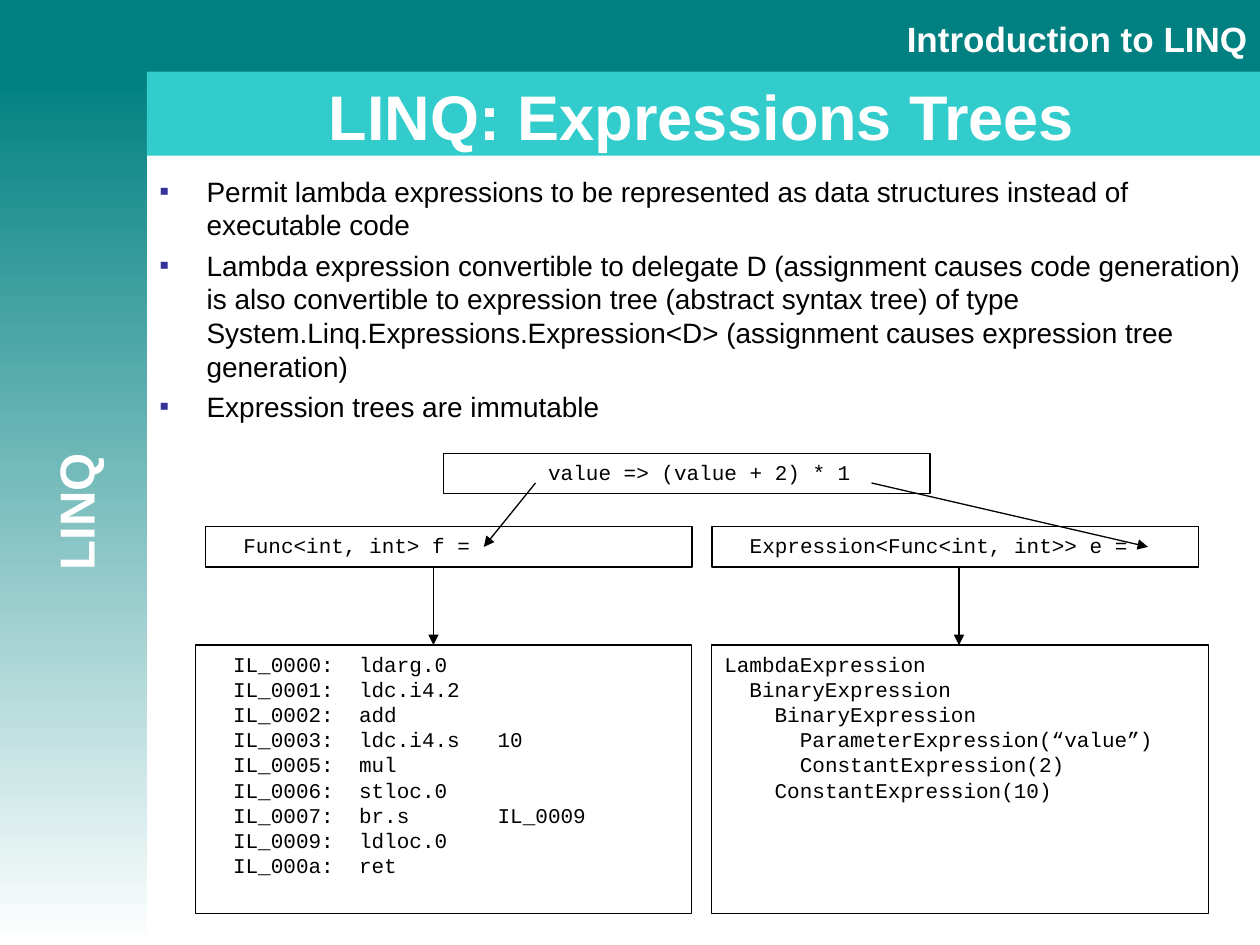
from lxml import etree
from pptx import Presentation
from pptx.dml.color import RGBColor as Rgb
from pptx.enum import shapes as sh, text as tx
from pptx.oxml import ns
from pptx.util import Pt

HUES = {"teal": "008080", "aqua": "33CCCC", "white": "FFFFFF", "black": "000000", "mark": "333399"}
CHAR = 7.2


def write(shape, lines, size=12, font="Courier New", hue="black", bold=False,
          align="LEFT", anchor="TOP", inset=7.2, before=0, mark=None, stops=()):
    frame = shape.text_frame
    frame.word_wrap = True
    frame.vertical_anchor = getattr(tx.MSO_ANCHOR, anchor)
    frame.margin_left = Pt(inset)
    for i, (depth, line) in enumerate(lines):
        para = frame.paragraphs[0] if i == 0 else frame.add_paragraph()
        para.alignment = getattr(tx.PP_ALIGN, align)
        para.space_before = Pt(before)
        run = para.add_run()
        run.text = line
        run.font.size, run.font.name, run.font.bold = Pt(size), font, bold
        run.font.color.rgb = Rgb.from_string(HUES[hue])
        props = para._p.get_or_add_pPr()
        if depth:
            props.set("marL", str(Pt(depth)))
        if mark:
            props.set("indent", str(-Pt(depth)))
            tint = etree.SubElement(props, ns.qn("a:buClr"))
            etree.SubElement(tint, ns.qn("a:srgbClr"), val=HUES["mark"])
            etree.SubElement(props, ns.qn("a:buFont"), typeface=font)
            etree.SubElement(props, ns.qn("a:buChar"), char=mark)
        if stops:
            tabs = etree.SubElement(props, ns.qn("a:tabLst"))
            for stop in stops:
                etree.SubElement(tabs, ns.qn("a:tab"), pos=str(Pt(stop)), algn="l")


def draw(left, top, width, height, fill, line=None):
    box = slide.shapes.add_shape(sh.MSO_SHAPE.RECTANGLE, Pt(left), Pt(top), Pt(width), Pt(height))
    box.shadow.inherit = False
    box.fill.solid()
    box.fill.fore_color.rgb = Rgb.from_string(HUES[fill])
    if line:
        box.line.color.rgb = Rgb.from_string(HUES[line])
        box.line.width = Pt(0.75)
    else:
        box.line.fill.background()
    return box


deck = Presentation()
deck.slide_width, deck.slide_height = Pt(720), Pt(540)
slide = deck.slides.add_slide(deck.slide_layouts[5])

draw(0, -0.7, 720, 43, "teal")
side = draw(-0.7, 41, 85, 499, "teal")
side.fill.gradient()
side.fill.gradient_angle = 270
for stop, hue in zip(side.fill.gradient_stops, ("teal", "white")):
    stop.color.rgb = Rgb.from_string(HUES[hue])
draw(84, 41, 636, 48, "aqua")

head = slide.shapes.add_textbox(Pt(84), Pt(6.5), Pt(636), Pt(31.5))
write(head, [(0, "Introduction to LINQ")], size=20, font="Arial", hue="white", bold=True, align="RIGHT")

label = slide.shapes.add_textbox(Pt(-202.5), Pt(272), Pt(491), Pt(41))
label.rotation = 270
write(label, [(0, "LINQ")], size=28, font="Arial", hue="white", bold=True, align="CENTER")

title = slide.shapes.title
title.left, title.top, title.width, title.height = Pt(92), Pt(48), Pt(618), Pt(36)
title.fill.solid()
title.fill.fore_color.rgb = Rgb.from_string(HUES["aqua"])
write(title, [(0, "LINQ: Expressions Trees")], size=36, font="Arial", hue="white",
      bold=True, align="CENTER", anchor="MIDDLE")
slide.shapes._spTree.append(title._element)

points = [
    "Permit lambda expressions to be represented as data structures instead of executable code",
    "Lambda expression convertible to delegate D (assignment causes code generation) is also "
    "convertible to expression tree (abstract syntax tree) of type "
    "System.Linq.Expressions.Expression<D> (assignment causes expression tree generation)",
    "Expression trees are immutable",
]
body = slide.shapes.add_textbox(Pt(84), Pt(96), Pt(636), Pt(402))
write(body, [(27, point) for point in points], size=16, font="Arial", before=4, mark="▪")

codes = ["0000:\tldarg.0", "0001:\tldc.i4.2", "0002:\tadd", "0003:\tldc.i4.s\t10", "0005:\tmul",
         "0006:\tstloc.0", "0007:\tbr.s\tIL_0009", "0009:\tldloc.0", "000a:\tret"]
nodes = [(0, "LambdaExpression"), (1, "BinaryExpression"), (2, "BinaryExpression"),
         (3, "ParameterExpression(“value”)"), (3, "ConstantExpression(2)"),
         (2, "ConstantExpression(10)")]
step = 2 * CHAR
shift = 7.2 + step

write(draw(111.6, 368.6, 283.7, 153.4, "white", "black"), [(0, "IL_" + code) for code in codes],
      inset=shift, stops=(10 * CHAR, 21 * CHAR))
write(draw(406.8, 368.6, 283.7, 153.4, "white", "black"),
      [(depth * step, node) for depth, node in nodes])
for left, top, line, align in [
    (117.4, 301, "Func<int, int> f =", "LEFT"),
    (406.8, 301, "Expression<Func<int, int>> e =", "LEFT"),
    (253.4, 259.2, "value => (value + 2) * 1", "CENTER"),
]:
    write(draw(left, top, 278, 23, "white", "black"), [(0, line)], align=align, inset=shift)

for ends in [(306, 276, 276.5, 312.5), (498, 276, 656, 312.5),
             (247.7, 323.5, 247.7, 368.6), (548, 323.5, 548, 368.6)]:
    arrow = slide.shapes.add_connector(sh.MSO_CONNECTOR.STRAIGHT, *map(Pt, ends))
    arrow.line.color.rgb = Rgb.from_string(HUES["black"])
    arrow.line.width = Pt(0.75)
    etree.SubElement(arrow.line._get_or_add_ln(), ns.qn("a:tailEnd"), type="triangle")
    etree.SubElement(arrow._element.spPr, ns.qn("a:effectLst"))

deck.save("out.pptx")
